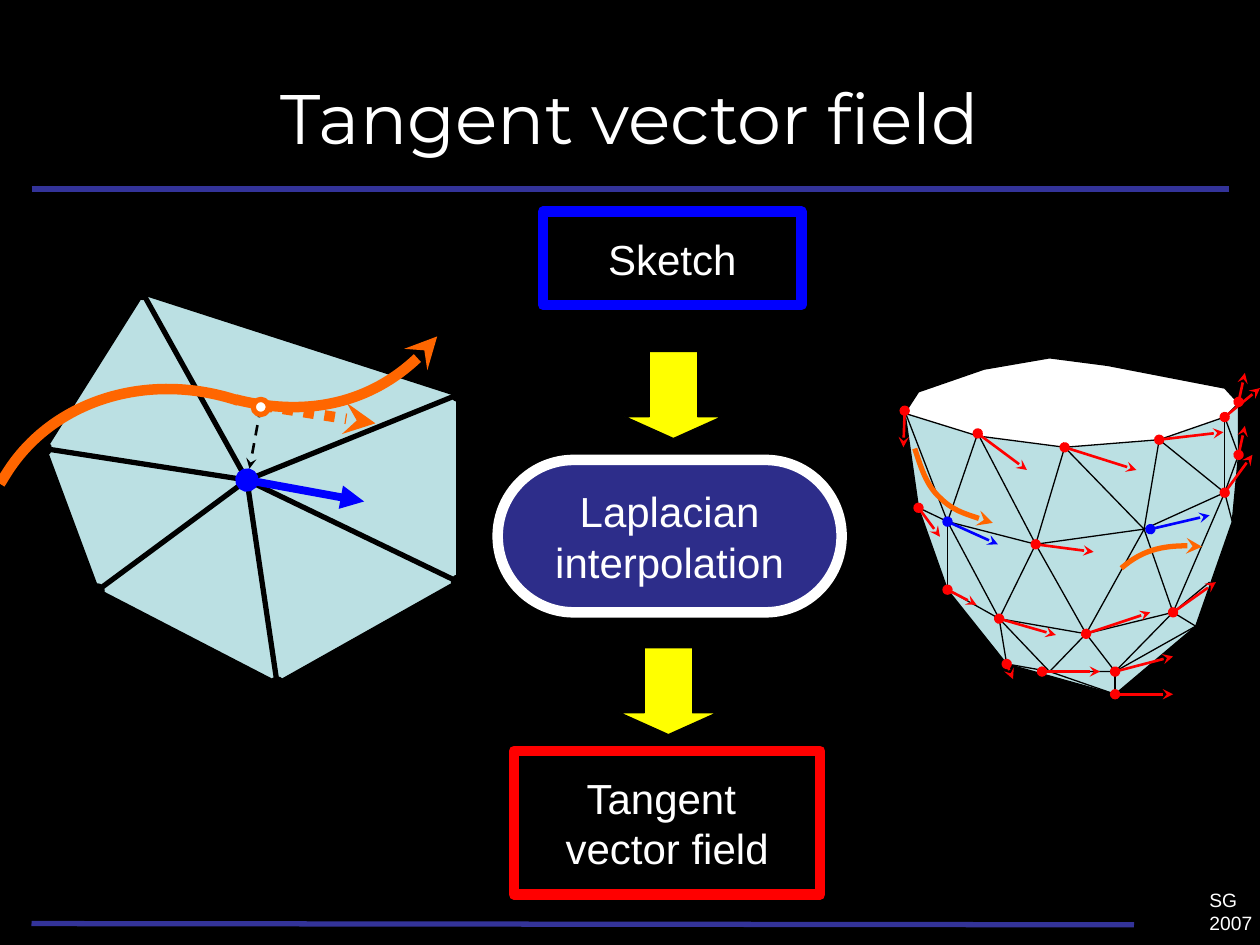
from dataclasses import dataclass

from lxml.etree import SubElement
from pptx import Presentation
from pptx.dml.color import RGBColor
from pptx.enum.dml import MSO_LINE as Dash
from pptx.enum.shapes import MSO_CONNECTOR as Connector, MSO_SHAPE as Preset
from pptx.enum.text import MSO_ANCHOR as Anchor, PP_ALIGN as Align
from pptx.oxml.ns import qn
from pptx.util import Inches, Pt


@dataclass(frozen=True)
class Theme:
    """Colours, fonts and type sizes of the slide."""
    black: str = "000000"
    white: str = "FFFFFF"
    rule: str = "333399"
    step: str = "2D2D8A"
    mesh: str = "BBE0E3"
    sketch: str = "FF6600"
    blue: str = "0000FF"
    red: str = "FF0000"
    flow: str = "FFFF00"
    title_font: str = "Montserrat"
    body_font: str = "Arial"
    title_size: int = 40
    box_size: int = 24
    note_size: int = 11


THEME = Theme()
HUB = (1.96, 3.81)
FAN = [(1.13, 2.32), (0.35, 3.56), (0.77, 4.69), (2.2, 5.43), (3.64, 4.62), (3.64, 3.13)]
NODES = {
    "R0": (7.18, 3.26), "R1": (7.76, 3.44), "R2": (8.45, 3.55),
    "R3": (9.2, 3.49), "R4": (9.72, 3.31), "R5": (9.83, 3.19),
    "S0": (7.29, 4.03), "S1": (7.52, 4.14), "S2": (8.22, 4.32),
    "S3": (9.08, 4.2), "S4": (9.72, 3.91), "S5": (9.83, 3.61),
    "L0": (7.52, 4.68), "L1": (7.93, 4.91), "L2": (8.62, 5.03),
    "L3": (9.31, 4.86), "L4": (9.6, 4.62),
    "B0": (7.99, 5.27), "B1": (8.33, 5.33), "B2": (8.85, 5.33), "B3": (9.49, 4.97),
    "tip": (8.85, 5.51), "edge": (9.78, 4.14), "foot": (8.27, 5.33), "pin": (9.13, 4.2),
}
SILHOUETTE = "R0 S0 L0 B0 tip B3 edge S5 R5"
RIM = [(8.33, 2.84), (7.81, 2.93), (7.29, 3.11), (7.18, 3.28), (7.76, 3.46), (8.45, 3.55),
       (9.2, 3.49), (9.72, 3.31), (9.83, 3.2), (9.72, 3.08), (8.79, 2.9)]
CHAINS = [SILHOUETTE, "S0 S1 S2 S3 S4 S5", "L0 L1 L2 L3 L4", "B0 B1 B2 B3"]
EDGES = ("tip-B2 B3-L3 B2-L3 B1-L2 B0-L1 L3-S3 L3-S4 L2-S3 L2-S2 L1-S2 L1-S1 L0-S1 "
         "R1-S1 R0-S1 R1-S2 R2-S2 R2-S3 R3-S3 R3-S4 R4-S4 R4-S5 edge-S4 L1-B1 L2-B2 tip-B1")
RED_VECTORS = {
    "S2": (0.46, 0.06), "L3": (0.34, -0.24), "S4": (0.22, -0.3), "R0": (-0.01, 0.29),
    "L0": (0.23, 0.12), "L1": (0.45, 0.13), "B0": (0.05, 0.12), "foot": (0.46, 0),
    "B2": (0.46, -0.12), "tip": (0.46, 0), "S0": (0.17, 0.23), "L2": (0.51, -0.17),
    "R1": (0.39, 0.29), "R2": (0.57, 0.18), "R3": (0.51, -0.06), "R4": (0.28, -0.23),
    "S5": (0.05, -0.23), "R5": (0.05, -0.23),
}
BLUE_VECTORS = {"pin": (0.47, -0.11), "S1": (0.4, 0.18)}


def rgb(colour):
    """Turn a hex string into a colour."""
    return RGBColor.from_string(colour)


def paint(shape, fill, stroke, weight):
    """Set fill and outline, where None means none, and drop the shadow."""
    shape.shadow.inherit = False
    if fill:
        shape.fill.solid()
        shape.fill.fore_color.rgb = rgb(fill)
    else:
        shape.fill.background()
    if stroke:
        shape.line.color.rgb = rgb(stroke)
        shape.line.width = Pt(weight)
    else:
        shape.line.fill.background()


def add_ends(shape, head, tail):
    """Put line ends on a shape that already has a line."""
    outline = shape._element.spPr.find(qn("a:ln"))
    for tag, kind in (("a:headEnd", head), ("a:tailEnd", tail)):
        if kind:
            SubElement(outline, qn(tag), type=kind)


def add_line(shapes, start, end, colour, weight, head=None, tail=None, dash=None):
    """Draw a straight line or arrow between two points."""
    line = shapes.add_connector(Connector.STRAIGHT, *map(Inches, (*start, *end)))
    line.line.color.rgb = rgb(colour)
    line.line.width = Pt(weight)
    if dash:
        line.line.dash_style = dash
    add_ends(line, head, tail)
    SubElement(line._element.spPr, qn("a:effectLst"))


def add_outline(shapes, points, fill=None, stroke=None, weight=0.75, close=True):
    """Draw a polygon or an open polyline."""
    start, *rest = [(Inches(x), Inches(y)) for x, y in points]
    builder = shapes.build_freeform(*start)
    builder.add_line_segments(rest, close=close)
    outline = builder.convert_to_shape()
    paint(outline, fill, stroke, weight)
    return outline


def add_curve(shapes, points, weight, tail=None):
    """Draw an orange Bezier stroke from a start and triples of control points."""
    curve = add_outline(shapes, points, None, THEME.sketch, weight, close=False)
    route = next(curve._element.iter(qn("a:path")))
    segments = route.findall(qn("a:lnTo"))
    for first in range(0, len(segments), 3):
        bezier = SubElement(route, qn("a:cubicBezTo"))
        for segment in segments[first:first + 3]:
            bezier.append(segment[0])
            route.remove(segment)
    add_ends(curve, None, tail)


def add_preset(shapes, preset, box, fill, stroke, weight, adjustments=()):
    """Draw a preset shape."""
    shape = shapes.add_shape(preset, *map(Inches, box))
    for index, value in enumerate(adjustments):
        shape.adjustments[index] = value
    paint(shape, fill, stroke, weight)
    return shape


def set_text(frame, text, font, size, align):
    """Write text with one font in every paragraph."""
    frame.text = text
    for paragraph in frame.paragraphs:
        paragraph.alignment = align
        paragraph.font.name = font
        paragraph.font.size = Pt(size)
        paragraph.font.color.rgb = rgb(THEME.white)


def add_step(shapes, text, box, fill, stroke, rounding):
    """Draw one labelled box of the flow."""
    step = add_preset(shapes, Preset.ROUNDED_RECTANGLE, box, fill, stroke, 6, [rounding])
    step.text_frame.word_wrap = True
    step.text_frame.vertical_anchor = Anchor.MIDDLE
    set_text(step.text_frame, text, THEME.body_font, THEME.box_size, Align.CENTER)


def add_frame(slide):
    """Add the background, title, rules and venue note."""
    slide.background.fill.solid()
    slide.background.fill.fore_color.rgb = rgb(THEME.black)
    note = slide.shapes.add_textbox(*map(Inches, (9.5, 7, 0.58, 0.47)))
    note.text_frame.word_wrap = True
    set_text(note.text_frame, "SG\n2007", THEME.body_font, THEME.note_size, Align.LEFT)
    for start, end in (((0.25, 1.5), (9.75, 1.5)), ((0.25, 7.33), (9, 7.34))):
        add_line(slide.shapes, start, end, THEME.rule, 3)
    title = slide.shapes.title
    title.left, title.top, title.width, title.height = map(Inches, (0.5, 0.3, 9, 1.25))
    title.text_frame.vertical_anchor = Anchor.MIDDLE
    set_text(title.text_frame, "Tangent vector field", THEME.title_font,
             THEME.title_size, Align.CENTER)


def add_fan(shapes):
    """Draw the triangle fan with the stroke projected on its hub."""
    add_outline(shapes, FAN, THEME.mesh, THEME.black, 3)
    for corner in FAN:
        add_line(shapes, HUB, corner, THEME.black, 3, "oval", "oval")
    add_line(shapes, HUB, (2.89, 3.98), THEME.blue, 4.5, "oval", "triangle")
    add_curve(shapes, [(1.87, 3.17), (2.46, 3.32), (3.05, 3.16), (3.41, 2.74),
                       (3.43, 2.72), (3.45, 2.69), (3.47, 2.67)], 6, "stealth")
    add_curve(shapes, [(1.89, 3.18), (1.17, 2.94), (0.41, 3.18), (0.05, 3.76),
                       (0.03, 3.79), (0.02, 3.81), (0, 3.84)], 6)
    add_line(shapes, (2.07, 3.23), (1.98, 3.72), THEME.black, 1.5,
             tail="stealth", dash=Dash.DASH)
    add_line(shapes, (2.08, 3.22), (2.98, 3.36), THEME.sketch, 6,
             tail="stealth", dash=Dash.ROUND_DOT)
    add_preset(shapes, Preset.OVAL, (2.01, 3.17, 0.12, 0.12), THEME.white, THEME.sketch, 3)


def add_vessel(shapes):
    """Draw the meshed vessel with its tangent vectors and strokes."""
    mesh = shapes.add_group_shape().shapes
    body = [NODES[name] for name in f"{SILHOUETTE} R4 R3 R2 R1".split()]
    add_outline(mesh, body, THEME.mesh)
    add_outline(mesh, RIM, THEME.white, THEME.black)
    for chain in CHAINS:
        points = [NODES[name] for name in chain.split()]
        add_outline(mesh, points, None, THEME.black, close=False)
    for edge in EDGES.split():
        start, end = edge.split("-")
        add_line(mesh, NODES[start], NODES[end], THEME.black, 0.75)
    for colour, vectors in ((THEME.red, RED_VECTORS), (THEME.blue, BLUE_VECTORS)):
        for name, (dx, dy) in vectors.items():
            x, y = NODES[name]
            add_line(shapes, (x, y), (x + dx, y + dy), colour, 1.5, "oval", "stealth")
    add_curve(shapes, [(7.26, 3.56), (7.31, 3.71), (7.35, 3.85), (7.46, 3.95),
                       (7.56, 4.05), (7.72, 4.1), (7.88, 4.15)], 3, "stealth")
    add_curve(shapes, [(8.9, 4.51), (9.06, 4.37), (9.29, 4.31), (9.54, 4.34)], 3, "stealth")


def add_flow(shapes):
    """Draw the three steps and the arrows between them."""
    for left, top in ((4.96, 2.79), (4.92, 5.14)):
        add_preset(shapes, Preset.DOWN_ARROW, (left, top, 0.77, 0.69),
                   THEME.flow, THEME.black, 0.75, (0.5, 0.25))
    add_step(shapes, "Sketch", (4.31, 1.68, 2.05, 0.74), None, THEME.blue, 0)
    add_step(shapes, "Tangent \vvector field", (4.08, 5.96, 2.43, 1.14), None, THEME.red, 0)
    add_step(shapes, "Laplacian\vinterpolation", (3.95, 3.65, 2.73, 1.21),
             THEME.step, THEME.white, 0.5)


def main():
    """Build and save the slide."""
    deck = Presentation()
    deck.slide_width, deck.slide_height = Inches(10), Inches(7.5)
    slide = deck.slides.add_slide(deck.slide_layouts[5])
    add_frame(slide)
    add_fan(slide.shapes)
    add_vessel(slide.shapes)
    add_flow(slide.shapes)
    deck.save("out.pptx")


if __name__ == "__main__":
    main()
